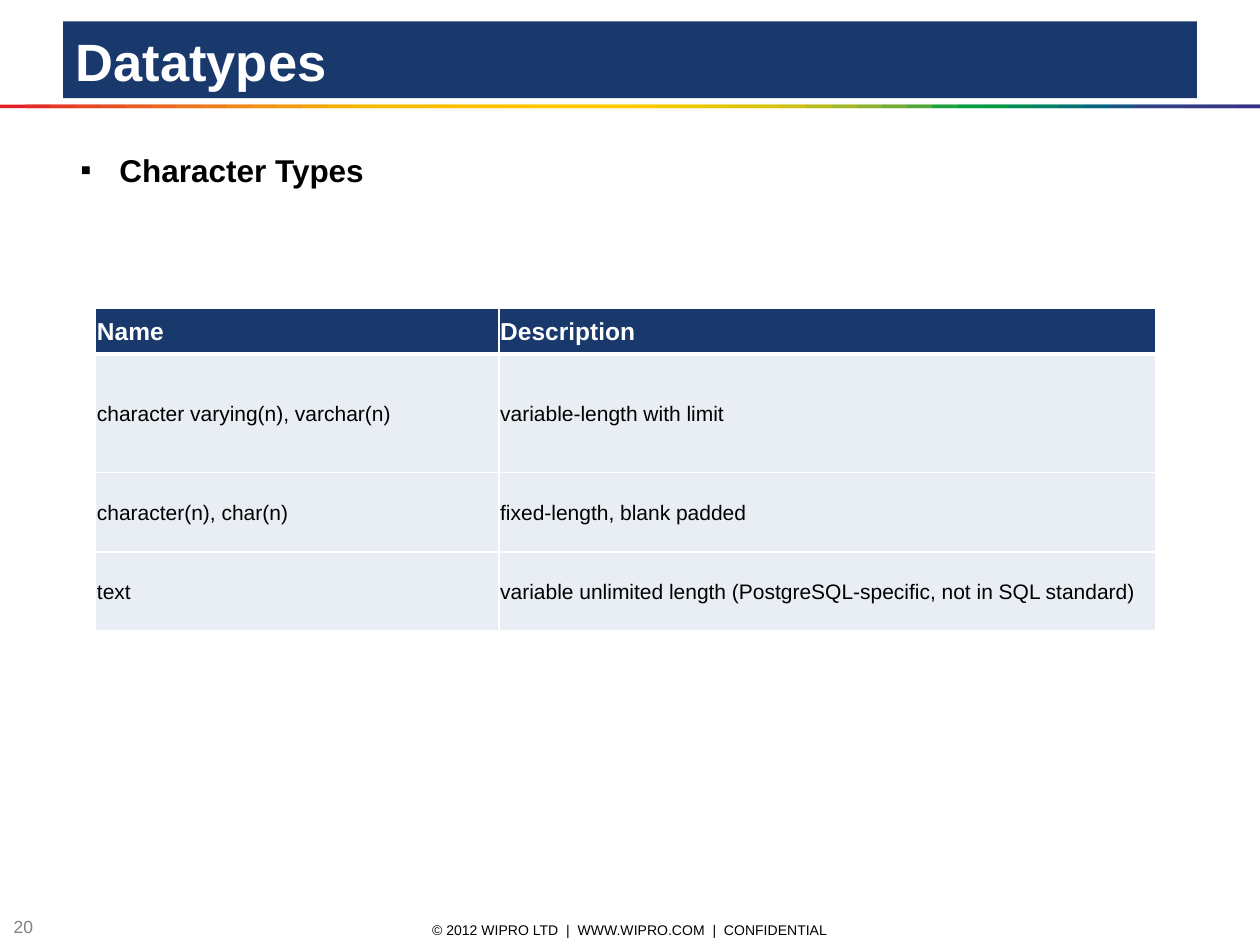
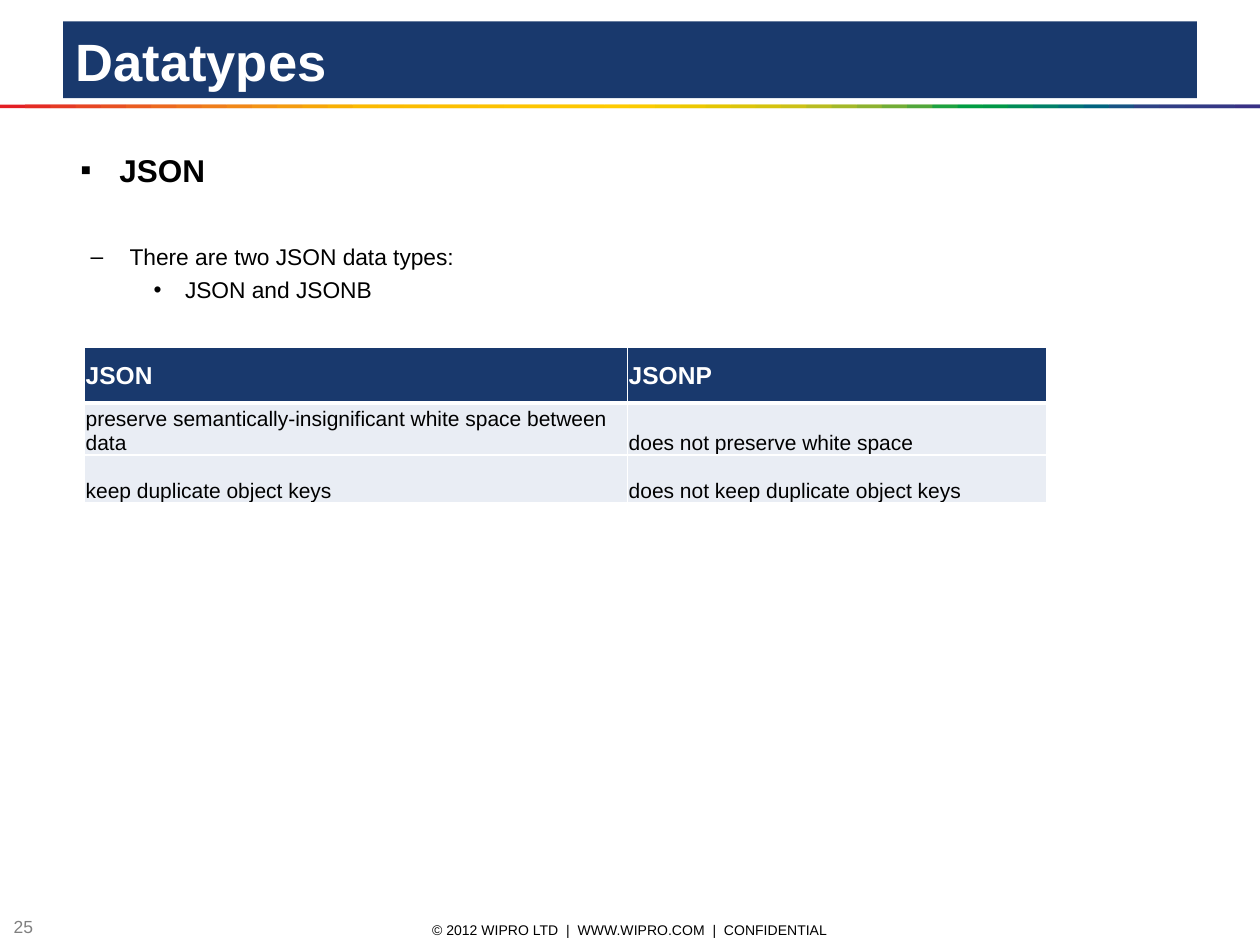
from dataclasses import dataclass

from lxml import etree
from pptx import Presentation
from pptx.dml.color import RGBColor
from pptx.enum.shapes import MSO_SHAPE
from pptx.enum.text import MSO_ANCHOR, PP_ALIGN
from pptx.oxml.ns import qn
from pptx.util import Emu, Inches, Pt

RECTANGLE = MSO_SHAPE.RECTANGLE
TOP, MIDDLE, BOTTOM = MSO_ANCHOR.TOP, MSO_ANCHOR.MIDDLE, MSO_ANCHOR.BOTTOM
LEFT, CENTER = PP_ALIGN.LEFT, PP_ALIGN.CENTER
TITLE_ONLY = 5


@dataclass(frozen=True)
class Theme:
    font: str = "Arial"
    navy: str = "19396D"
    white: str = "FFFFFF"
    black: str = "000000"
    grey: str = "808080"
    cell: str = "E9EDF4"
    title_size: int = 30
    heading_size: int = 18
    header_size: int = 14
    point_size: int = 13
    cell_size: int = 12
    number_size: int = 10
    footer_size: int = 8
    rainbow: tuple = tuple(
        """E31E24 E42C24 E53A24 E74623 E85122 EA5D21 EC691F EE741D EF7E1A F18817
        F39314 F49C0F F6A607 F8B002 FBBA00 FBBB00 FBBD00 FCBF00 FCC000 FCC200
        FDC400 FDC600 FDC700 FEC900 FECB00 FBCB00 F3CA00 ECC800 E4C602 DCC50A
        D5C30E CCC117 B8BC21 A3B829 8CB230 71AD36 51A73B 1DA240 009D43 009846
        008C57 008068 007275 00637F 185384 2E4285 313E85 333B85 353885 393185""".split())


THEME = Theme()
SLIDE_WIDTH, SLIDE_HEIGHT = 10, 7.5
FOOTER = "© 2012 WIPRO LTD  |  WWW.WIPRO.COM  |  CONFIDENTIAL"


def apply_format(target, values):
    for name, value in values.items():
        setattr(target, name, value)


def fill_solid(target, color):
    target.fill.solid()
    target.fill.fore_color.rgb = RGBColor.from_string(color)


def write(para, text, size, color, bold=False, align=LEFT):
    span = para.add_run()
    span.text = text
    para.alignment = align
    apply_format(span.font, {"name": THEME.font, "size": Pt(size), "bold": bold})
    span.font.color.rgb = RGBColor.from_string(color)


def add_box(page, left, top, width, height, anchor=TOP, margin=0.05):
    """Add an empty text box and return its frame; margin is above and below the text."""
    box = page.shapes.add_textbox(Inches(left), Inches(top), Inches(width), Inches(height))
    frame = box.text_frame
    apply_format(frame, {"word_wrap": True, "vertical_anchor": anchor,
                         "margin_top": Inches(margin), "margin_bottom": Inches(margin)})
    return frame


def set_bullet(para, symbol, indent, hanging):
    properties = para._p.get_or_add_pPr()
    properties.set("marL", str(Inches(indent)))
    properties.set("indent", str(-Inches(hanging)))
    etree.SubElement(properties, qn("a:buFont"), typeface=THEME.font)
    etree.SubElement(properties, qn("a:buChar"), char=symbol)


def add_title(page, text):
    title = page.shapes.title
    apply_format(title, {"left": Inches(0.5), "top": Inches(0.17),
                         "width": Inches(9), "height": Inches(0.61)})
    fill_solid(title, THEME.navy)
    title.text_frame.vertical_anchor = BOTTOM
    write(title.text_frame.paragraphs[0], text, THEME.title_size, THEME.white, bold=True)


def add_rainbow(page):
    """Draw the coloured rule under the title; bands overlap so that no seams show."""
    group = page.shapes.add_group_shape()
    step = SLIDE_WIDTH / len(THEME.rainbow)
    for index, color in enumerate(THEME.rainbow):
        left = index * step
        width = min(2 * step, SLIDE_WIDTH - left)
        band = group.shapes.add_shape(
            RECTANGLE, Inches(left), Inches(0.83), Inches(width), Inches(0.03))
        band.shadow.inherit = False
        band.line.fill.background()
        fill_solid(band, color)


def add_footer(page, number):
    note = add_box(page, 3.3, 7.28, 3.4, 0.2, MIDDLE, margin=0)
    write(note.paragraphs[0], FOOTER, THEME.footer_size, THEME.black, align=CENTER)
    counter = add_box(page, 0.01, 7.27, 0.39, 0.16, MIDDLE, margin=0)
    write(counter.paragraphs[0], str(number), THEME.number_size, THEME.grey)


def add_heading(page, text):
    para = add_box(page, 0.54, 1.15, 8.97, 0.4).paragraphs[0]
    set_bullet(para, "▪", 0.31, 0.31)
    write(para, text, THEME.heading_size, THEME.black, bold=True)


def add_points(page, point, subpoint):
    frame = add_box(page, 0.12, 1.88, 9.68, 5.29)
    first, second = frame.paragraphs[0], frame.add_paragraph()
    second.level = 1
    second.space_before = Pt(3)
    set_bullet(first, "–", 0.81, 0.31)
    set_bullet(second, "•", 1.25, 0.25)
    for para, text in ((first, point), (second, subpoint)):
        write(para, text, THEME.point_size, THEME.black)


def set_borders(cell, **widths):
    """Give a cell white borders; widths maps L, R, T and B to points."""
    properties = cell._tc.get_or_add_tcPr()
    for side in "LRTB":
        line = etree.SubElement(properties, qn(f"a:ln{side}"), w=str(Pt(widths.get(side, 1))))
        paint = etree.SubElement(line, qn("a:solidFill"))
        etree.SubElement(paint, qn("a:srgbClr"), val=THEME.white)


def add_grid(page, left, top, columns, heights, rows, body_anchor):
    frame = page.shapes.add_table(
        len(rows), len(columns), Inches(left), Inches(top),
        Inches(sum(columns)), Inches(sum(heights)))
    table = frame.table
    table.horz_banding = False
    for column, width in zip(table.columns, columns):
        column.width = Inches(width)
    for index, (row, height, texts) in enumerate(zip(table.rows, heights, rows)):
        row.height = Inches(height)
        header = index == 0
        for cell, text in zip(row.cells, texts):
            set_borders(cell, T=3 if index == 1 else 1, B=3 if header else 1)
            fill_solid(cell, THEME.navy if header else THEME.cell)
            apply_format(cell, {
                "margin_left": Inches(0.01), "margin_right": Inches(0.01),
                "margin_top": Inches(0.01), "margin_bottom": Emu(0),
                "vertical_anchor": MIDDLE if header else body_anchor})
            write(cell.text_frame.paragraphs[0], text,
                  THEME.header_size if header else THEME.cell_size,
                  THEME.white if header else THEME.black, bold=header)


def add_page(deck, heading, number):
    page = deck.slides.add_slide(deck.slide_layouts[TITLE_ONLY])
    add_footer(page, number)
    add_rainbow(page)
    add_title(page, "Datatypes")
    add_heading(page, heading)
    return page


def main():
    deck = Presentation()
    deck.slide_width, deck.slide_height = Inches(SLIDE_WIDTH), Inches(SLIDE_HEIGHT)

    characters = add_page(deck, "Character Types", 20)
    add_grid(characters, 0.76, 2.45, (3.2, 5.21), (0.36, 0.94, 0.63, 0.63), (
        ("Name", "Description"),
        ("character varying(n), varchar(n)", "variable-length with limit"),
        ("character(n), char(n)", "fixed-length, blank padded"),
        ("text", "variable unlimited length (PostgreSQL-specific, not in SQL standard)"),
    ), MIDDLE)

    json_types = add_page(deck, "JSON", 25)
    add_points(json_types, "There are two JSON data types:", "JSON and JSONB")
    add_grid(json_types, 0.67, 2.76, (4.31, 3.33), (0.44, 0.41, 0.38), (
        ("JSON", "JSONP"),
        ("preserve semantically-insignificant white space between data",
         "does not preserve white space"),
        ("keep duplicate object keys", "does not keep duplicate object keys"),
    ), BOTTOM)

    deck.save("out.pptx")


if __name__ == "__main__":
    main()
